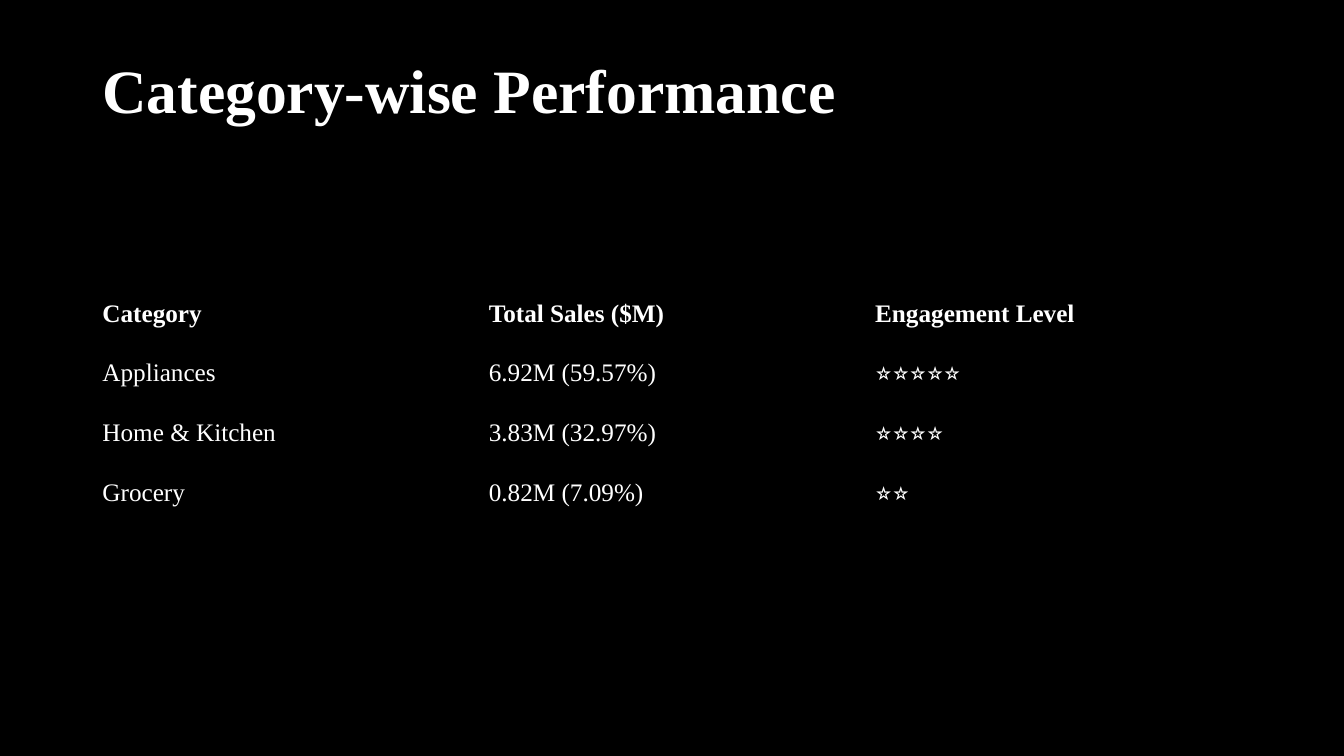
from pptx import Presentation
from pptx.dml.color import RGBColor
from pptx.enum.text import MSO_ANCHOR
from pptx.util import Pt

SCALE = 9525
BLACK = RGBColor(0, 0, 0)
WHITE = RGBColor(255, 255, 255)
FONT = "Times New Roman"
PLAIN = "{2D5ABB26-0587-4C30-8999-92F81FD0307C}"
LEFT, WIDTH = 88, 1104
ROW = 57
SALES = [
    ("Category", "Total Sales ($M)", "Engagement Level"),
    ("Appliances", "6.92M (59.57%)", "⭐⭐⭐⭐⭐"),
    ("Home & Kitchen", "3.83M (32.97%)", "⭐⭐⭐⭐"),
    ("Grocery", "0.82M (7.09%)", "⭐⭐"),
]


def px(count):
    return count * SCALE


def write(frame, text, size, bold):
    frame.text = text
    line = frame.paragraphs[0]
    font = line.font
    font.name, font.size, font.bold = FONT, Pt(size), bold
    font.color.rgb = WHITE
    return line


def add_title(slide, text):
    box = slide.shapes.add_textbox(px(LEFT), px(48), px(WIDTH), px(139))
    frame = box.text_frame
    frame.word_wrap = True
    frame.vertical_anchor = MSO_ANCHOR.TOP
    frame.margin_top = px(9)
    write(frame, text, 44, True).line_spacing = 0.9


def add_grid(slide, rows):
    table = slide.shapes.add_table(
        len(rows), len(rows[0]), px(LEFT), px(270), px(WIDTH), px(ROW * len(rows))
    ).table
    table._tbl.tblPr.find("{*}tableStyleId").text = PLAIN
    table.horz_banding = False
    for r, row in enumerate(rows):
        for c, text in enumerate(row):
            cell = table.cell(r, c)
            cell.fill.background()
            cell.vertical_anchor = MSO_ANCHOR.MIDDLE
            write(cell.text_frame, text, 18, r == 0)


def main():
    deck = Presentation()
    deck.slide_width, deck.slide_height = px(1280), px(720)
    slide = deck.slides.add_slide(deck.slide_layouts[6])
    fill = slide.background.fill
    fill.solid()
    fill.fore_color.rgb = BLACK
    add_title(slide, "Category-wise Performance")
    add_grid(slide, SALES)
    deck.save("out.pptx")


if __name__ == "__main__":
    main()
